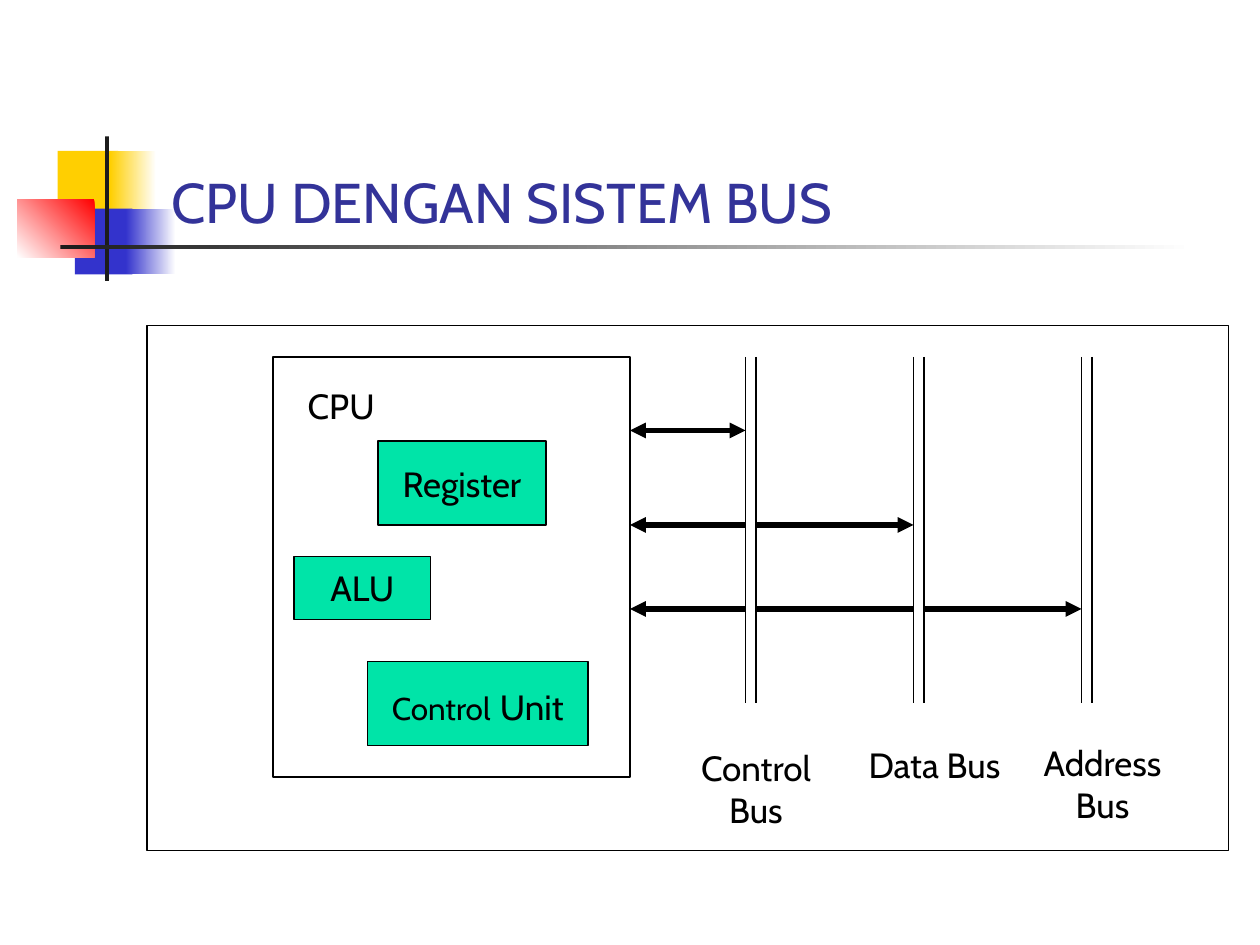
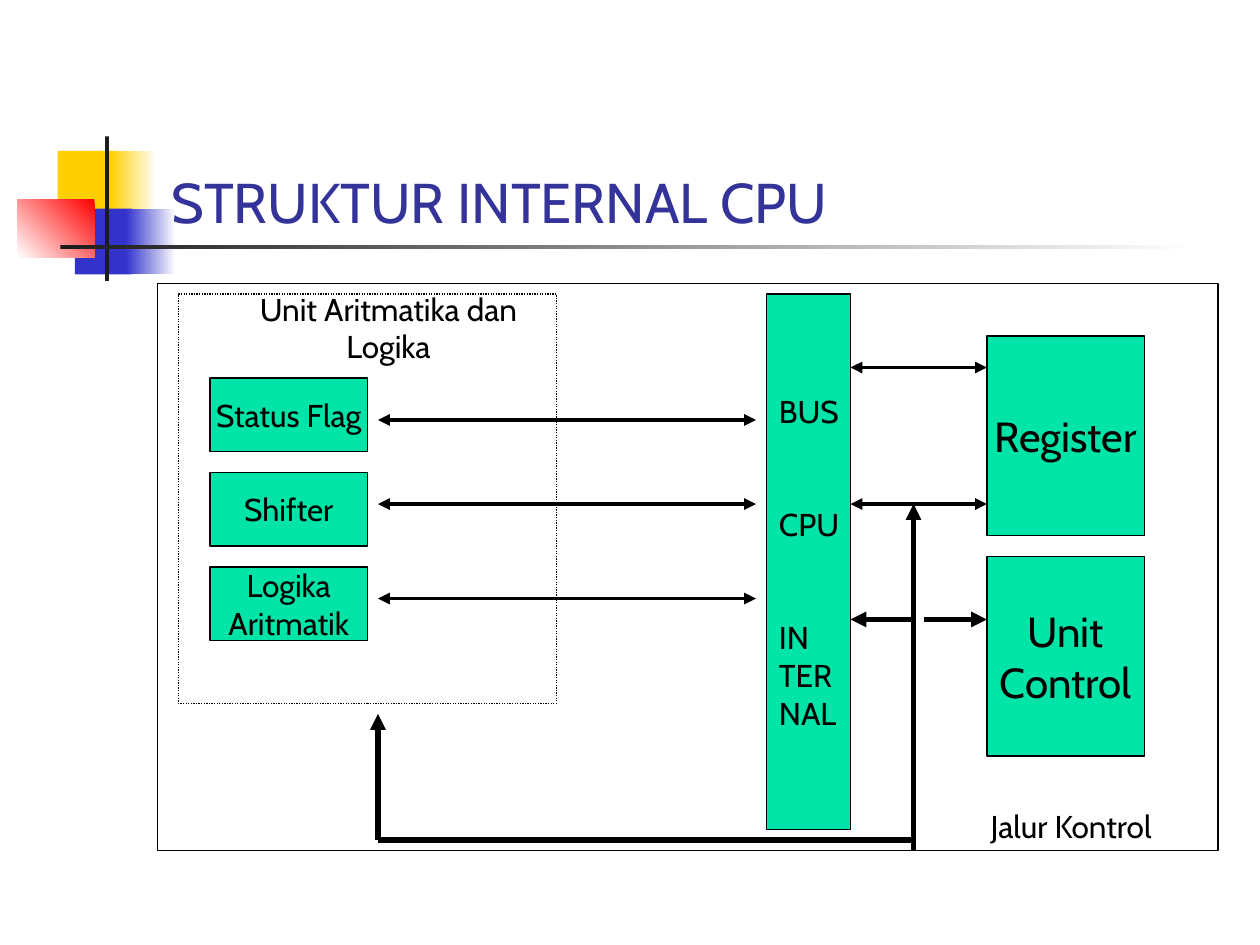
import pptx
import pptx.util
import pptx.dml.color
import pptx.enum.dml
import pptx.enum.shapes
import pptx.enum.text
import pptx.oxml.ns
from lxml import etree

PX = 9525  # 96 px to the inch
FONT = "Cabin"
GREEN, BLACK, WHITE, TITLE_BLUE = "00E4A8", "000000", "FFFFFF", "333399"
YELLOW, BLUE, RED, DARK = "FFCF01", "3333CC", "FF0000", "1C1C1C"

color = pptx.dml.color.RGBColor.from_string
qn = pptx.oxml.ns.qn
ALIGN = pptx.enum.text.PP_ALIGN
ANCHOR = pptx.enum.text.MSO_ANCHOR


def add_box(page, place, text="", size=18, fill=None, outline=None, align=ALIGN.CENTER):
    """Add a rectangle, or a wrapping label when it has neither fill nor outline."""
    left, top, width, height = [length * PX for length in place]
    is_label = fill is None and outline is None
    if is_label:
        box = page.shapes.add_textbox(left, top, width, height)
    else:
        box = page.shapes.add_shape(
            pptx.enum.shapes.MSO_SHAPE.RECTANGLE, left, top, width, height)
        box.shadow.inherit = False
        if fill:
            box.fill.solid()
            box.fill.fore_color.rgb = color(fill)
        else:
            box.fill.background()
        if outline:
            box.line.color.rgb = color(BLACK)
            box.line.width = pptx.util.Pt(outline)
        else:
            box.line.fill.background()
    frame = box.text_frame
    frame.word_wrap = is_label
    frame.vertical_anchor = ANCHOR.TOP if is_label else ANCHOR.MIDDLE
    frame.text = text
    for para in frame.paragraphs:
        para.alignment = align
        for span in para.runs:
            span.font.name = FONT
            span.font.size = pptx.util.Pt(size)
            span.font.color.rgb = color(BLACK)
    return box


def add_line(page, start, end, width, head=False, tail=False):
    """Add a black line with triangle arrowheads at its start (head) and end (tail)."""
    line = page.shapes.add_connector(
        pptx.enum.shapes.MSO_CONNECTOR.STRAIGHT, *[n * PX for n in (*start, *end)])
    line.line.color.rgb = color(BLACK)
    line.line.width = pptx.util.Pt(width)
    outline = line.line.fill._xPr
    for tag, wanted in (("a:headEnd", head), ("a:tailEnd", tail)):
        if wanted:
            etree.SubElement(outline, qn(tag), type="triangle")
    etree.SubElement(line.element.spPr, qn("a:effectLst"))


deck = pptx.Presentation()
deck.slide_width, deck.slide_height = 960 * PX, 720 * PX
layout = deck.slide_layouts[5]

# Pages and their titles
pages = []
for title_text in ("CPU DENGAN SISTEM BUS", "STRUKTUR INTERNAL CPU"):
    page = deck.slides.add_slide(layout)
    title = page.shapes.title
    title.left, title.top, title.width, title.height = 121 * PX, 64 * PX, 818 * PX, 120 * PX
    title.text_frame.text = title_text
    title.text_frame.vertical_anchor = ANCHOR.BOTTOM
    para = title.text_frame.paragraphs[0]
    para.alignment = ALIGN.LEFT
    font = para.runs[0].font
    font.name, font.size = FONT, pptx.util.Pt(32)
    font.color.rgb = color(TITLE_BLUE)
    pages.append(page)
bus_page, cpu_page = pages

# Shared ornament: place, colours from start to end, gradient angle; kept in the layout
ornament = [
    ((44, 115, 46, 50), [YELLOW], 0),
    ((84, 115, 35, 50), [YELLOW, WHITE], 0),
    ((57, 159, 44, 50), [BLUE], 0),
    ((96, 159, 38, 50), [BLUE, WHITE], 0),
    ((13, 152, 59, 44), [RED, WHITE], 225),
    ((80, 104, 3, 110), [DARK], 0),
    ((46, 187, 864, 3), [DARK, WHITE], 0),
]
for number, (place, colors, angle) in enumerate(ornament):
    block = add_box(bus_page, place, fill=colors[0])
    if len(colors) == 2:
        block.fill.gradient()
        block.fill.gradient_angle = angle
        for stop, shade in zip(block.fill.gradient_stops, colors):
            stop.color.rgb = color(shade)
    block.element.nvSpPr.cNvPr.set("id", str(100 + number))
    layout.element.cSld.spTree.append(block.element)

# Page 1: the CPU and its parts
add_box(bus_page, (112, 248, 824, 400), outline=1)
add_box(bus_page, (208, 272, 272, 320), fill=WHITE, outline=1)
add_box(bus_page, (216, 288, 88, 42), "CPU", 20)
add_box(bus_page, (288, 336, 128, 64), "Register", 20, GREEN, 0.75)
add_box(bus_page, (224, 424, 104, 48), "ALU", 20, GREEN, 0.75)
control_unit = add_box(bus_page, (280, 504, 168, 64), "Control", 18, GREEN, 0.75)
for text, size in ((" ", 24), ("Unit", 20)):
    span = control_unit.text_frame.paragraphs[0].add_run()
    span.text = text
    span.font.name, span.font.size = FONT, pptx.util.Pt(size)
    span.font.color.rgb = color(BLACK)

# Page 1: three buses, each a pair of lines
bus_lefts = [568 + 128 * i for i in range(3)]
for left in bus_lefts:
    for x in (left, left + 8):
        add_line(bus_page, (x, 272), (x, 536), 0.75)
add_box(bus_page, (511, 564, 130, 74), "Control Bus", 20)
add_box(bus_page, (640, 562, 144, 42), "Data Bus", 20)
add_box(bus_page, (776, 560, 128, 74), "Address Bus", 20)

# Page 1: arrows from the CPU, broken where they cross a bus
segment_starts = [480] + [left + 8 for left in bus_lefts]
for target, y in enumerate((328, 400, 464)):
    for i in range(target + 1):
        add_line(bus_page, (segment_starts[i], y), (bus_lefts[i], y), 3,
                 head=i == 0, tail=i == target)

# Page 2: the arithmetic and logic unit
add_box(cpu_page, (120, 216, 808, 432), outline=0.75)
alu = add_box(cpu_page, (136, 224, 288, 312), outline=0.75)
alu.line.dash_style = pptx.enum.dml.MSO_LINE.ROUND_DOT
for i, part in enumerate(("Status Flag", "Shifter", "Logika\nAritmatik")):
    add_box(cpu_page, (160, 288 + 72 * i, 120, 56), part, 18, GREEN, 0.75)
add_box(cpu_page, (184, 216, 224, 67), "Unit Aritmatika dan Logika")

# Page 2: internal bus, register and control unit
bus = add_box(cpu_page, (584, 224, 64, 408), "BUS\nCPU\nIN\nTER\nNAL", 18,
              GREEN, 0.75, ALIGN.LEFT)
for para in bus.text_frame.paragraphs[1:3]:
    para.space_before = pptx.util.Pt(43)
for top, text in ((256, "Register"), (424, "Unit\nControl")):
    add_box(cpu_page, (752, top, 120, 152), text, 24, GREEN, 0.75)
add_box(cpu_page, (728, 610, 176, 38), "Jalur Kontrol")

# Page 2: data arrows on both sides of the bus
for left, right, rows in ((288, 576, (320, 384, 456)), (648, 752, (280, 384))):
    for y in rows:
        add_line(cpu_page, (left, y), (right, y), 2.25, head=True, tail=True)

# Page 2: control path
add_line(cpu_page, (288, 544), (288, 640), 3, head=True)
add_line(cpu_page, (288, 640), (696, 640), 3)
add_line(cpu_page, (696, 384), (696, 648), 3, head=True)
add_line(cpu_page, (648, 472), (696, 472), 3, head=True)
add_line(cpu_page, (704, 472), (752, 472), 3, tail=True)

deck.save("out.pptx")
